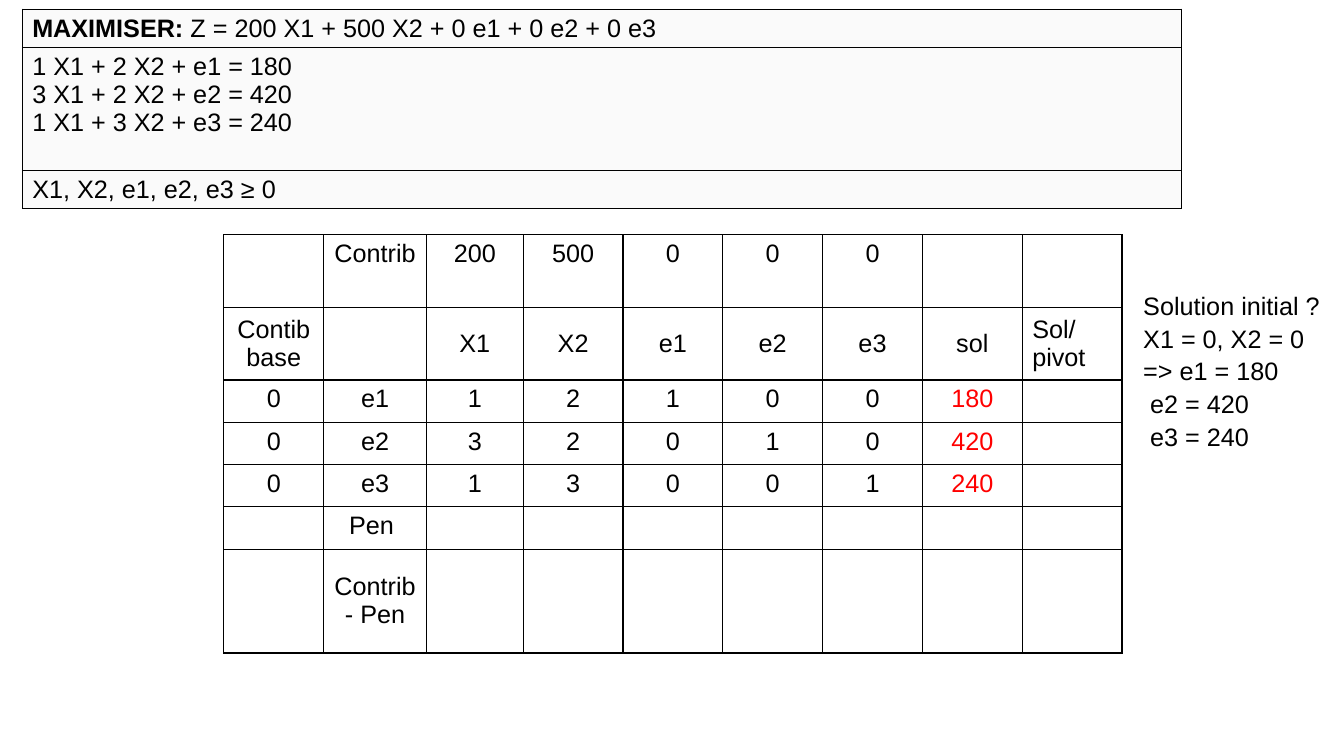
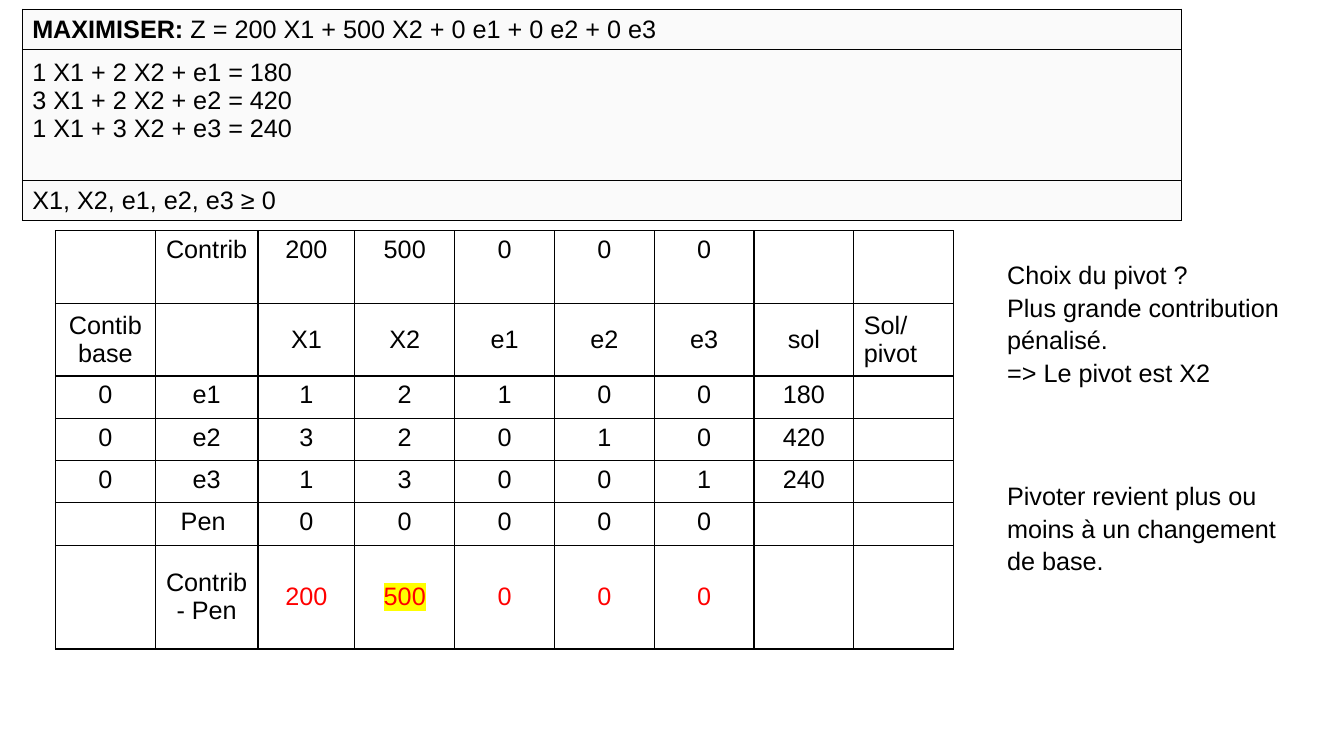
"""Build two slides that set up a simplex tableau and choose its pivot."""
import pptx
import pptx.dml.color
import pptx.enum.text
import pptx.oxml
import pptx.oxml.ns
import pptx.util

INCH, PT = pptx.util.Inches, pptx.util.Pt
ALIGN, ANCHOR = pptx.enum.text.PP_ALIGN, pptx.enum.text.MSO_ANCHOR
INK, RED, YELLOW, PANEL = "000000", "FF0000", "FFFF00", "FAFAFA"
FONT = {"name": "Arial", "size": PT(18), "bold": False}
LINE_IN, BOX_SPACING, GAP = 0.28, 1.08, 64.8

PROGRAM = [
    [("MAXIMISER: ", True), ("Z = 200 X1 + 500 X2 + 0 e1 + 0 e2 + 0 e3", False)],
    ["1 X1 + 2 X2 + e1 = 180", "3 X1 + 2 X2 + e2 = 420", "1 X1 + 3 X2 + e3 = 240"],
    [("X1, X2, e1, e2, e3 ≥ 0", False)],
]
TABLEAU = [
    ["", "Contrib", "200", "500", "0", "0", "0", "", ""],
    ["Contib base", "", "X1", "X2", "e1", "e2", "e3", "sol", "Sol/pivot"],
    ["0", "e1", "1", "2", "1", "0", "0", "180", ""],
    ["0", "e2", "3", "2", "0", "1", "0", "420", ""],
    ["0", "e3", "1", "3", "0", "0", "1", "240", ""],
]
BLANKS = [""] * 7
COLS = [0.99, 1.02, 0.96] + [0.99] * 6
ROWS = [0.72] * 2 + [0.42] * 4 + [1.03]
MIDDLE_ROWS = (1, 6)

SLIDES = [
    {
        "program_rows": [0.38, 1.22, 0.38],
        "tableau_at": (2.22, 2.33),
        "pen": BLANKS,
        "net": BLANKS,
        "red": [(row, 7) for row in (2, 3, 4)],
        "marked": [],
        "note_at": (11.24, 2.81, 2.02, 1.6),
        "note": [["Solution initial ?", "X1 = 0, X2 = 0", "=> e1 = 180", " e2 = 420", " e3 = 240"]],
    },
    {
        "program_rows": [0.4, 1.3, 0.4],
        "tableau_at": (0.55, 2.29),
        "pen": ["0"] * 5 + ["", ""],
        "net": ["200", "500", "0", "0", "0", "", ""],
        "red": [(6, col) for col in range(2, 7)],
        "marked": [(6, 3)],
        "note_at": (9.89, 2.5, 3.11, 2.9),
        "note": [
            ["Choix du pivot ?", "Plus grande contribution pénalisé.", "=> Le pivot est X2"],
            ["Pivoter revient plus ou moins à un changement de base."],
        ],
    },
]


def rgb(value):
    return pptx.dml.color.RGBColor.from_string(value)


def add_run(p, text, color=INK, highlight=None, **changes):
    r = p.add_run()
    r.text = text
    for name, value in {**FONT, **changes}.items():
        setattr(r.font, name, value)
    r.font.color.rgb = rgb(color)
    if highlight:
        mark = pptx.oxml.parse_xml(
            f'<a:highlight {pptx.oxml.ns.nsdecls("a")}><a:srgbClr val="{highlight}"/></a:highlight>')
        r.font._element.find(pptx.oxml.ns.qn("a:solidFill")).addnext(mark)


def add_lines(tf, lines):
    for i, line in enumerate(lines):
        p = tf.paragraphs[0] if i == 0 else tf.add_paragraph()
        add_run(p, line)
    return tf.paragraphs


def add_grid(s, left, top, cols, rows, border, fill=None):
    frame = s.shapes.add_table(len(rows), len(cols), INCH(left), INCH(top),
                               INCH(sum(cols)), INCH(sum(rows)))
    table = frame.table
    table.first_row = table.horz_banding = False
    for parts, name, sizes in ((table.columns, "width", cols), (table.rows, "height", rows)):
        for part, size in zip(parts, sizes):
            setattr(part, name, INCH(size))
    for cell in table.iter_cells():
        tcPr = cell._tc.get_or_add_tcPr()
        for side in "LRTB":
            tcPr.append(pptx.oxml.parse_xml(
                f'<a:ln{side} {pptx.oxml.ns.nsdecls("a")} w="{PT(border)}"><a:solidFill>'
                f'<a:srgbClr val="{INK}"/></a:solidFill></a:ln{side}>'))
        if fill:
            cell.fill.solid()
            cell.fill.fore_color.rgb = rgb(fill)
        else:
            cell.fill.background()
    return table


def add_program(s, rows):
    table = add_grid(s, 0.22, 0.09, [11.5], rows, 0.75, PANEL)
    goal, limits, signs = (table.cell(i, 0) for i in range(3))
    for cell, runs in ((goal, PROGRAM[0]), (signs, PROGRAM[2])):
        cell.vertical_anchor = ANCHOR.MIDDLE
        for text, bold in runs:
            add_run(cell.text_frame.paragraphs[0], text, bold=bold)
    limits.margin_top = INCH((rows[1] - 4 * LINE_IN) / 2)
    add_lines(limits.text_frame, PROGRAM[1])


def add_tableau(s, content):
    values = TABLEAU + [["", "Pen "] + content["pen"], ["", "Contrib - Pen"] + content["net"]]
    table = add_grid(s, *content["tableau_at"], COLS, ROWS, 0.96)
    for i, row in enumerate(values):
        for j, text in enumerate(row):
            if not text:
                continue
            cell = table.cell(i, j)
            cell.vertical_anchor = ANCHOR.MIDDLE if i in MIDDLE_ROWS else ANCHOR.TOP
            p = cell.text_frame.paragraphs[0]
            p.alignment = ALIGN.LEFT if j == len(COLS) - 1 else ALIGN.CENTER
            add_run(p, text, RED if (i, j) in content["red"] else INK,
                    YELLOW if (i, j) in content["marked"] else None)


def add_note(s, content):
    tf = s.shapes.add_textbox(*map(INCH, content["note_at"])).text_frame
    tf.word_wrap = True
    groups = content["note"]
    paragraphs = add_lines(tf, [line for group in groups for line in group])
    for p in paragraphs:
        p.line_spacing = BOX_SPACING
    start = 0
    for group in groups[:-1]:
        start += len(group)
        paragraphs[start].space_before = PT(GAP)


def main():
    prs = pptx.Presentation()
    prs.slide_width, prs.slide_height = INCH(13.33), INCH(7.5)
    for content in SLIDES:
        s = prs.slides.add_slide(prs.slide_layouts[6])
        add_program(s, content["program_rows"])
        add_tableau(s, content)
        add_note(s, content)
    prs.save("out.pptx")


if __name__ == "__main__":
    main()
